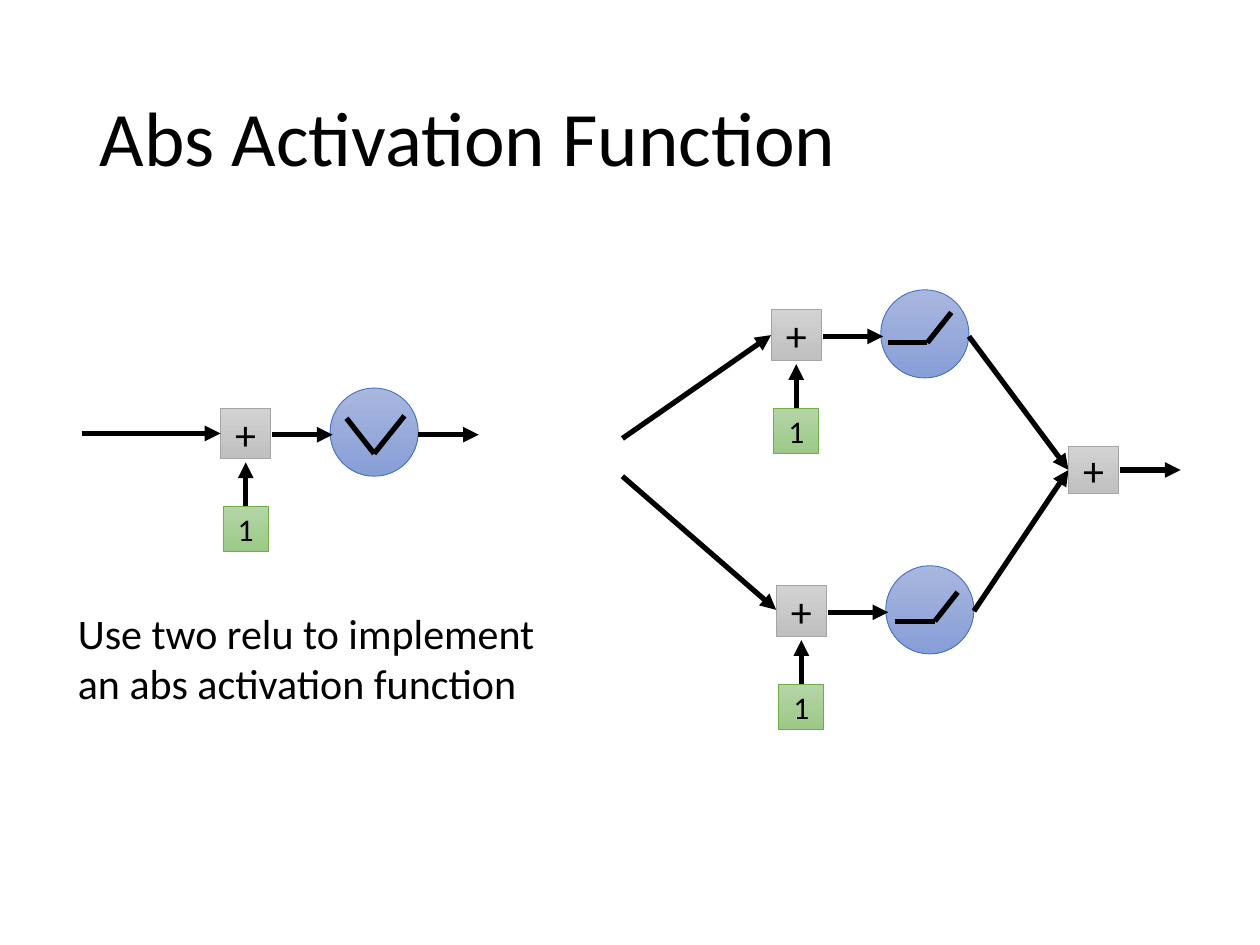
from itertools import pairwise

from lxml import etree
from pptx import Presentation
from pptx.dml.color import RGBColor
from pptx.enum import shapes, text
from pptx.oxml import ns
from pptx.util import Inches, Pt

FONT = "Calibri"
BLACK = RGBColor(0x00, 0x00, 0x00)
# Gradient top, gradient bottom, outline
BLUE = (RGBColor(0xA8, 0xB7, 0xDF), RGBColor(0x88, 0x9E, 0xD7), RGBColor(0x44, 0x72, 0xC4))
GRAY = (RGBColor(0xD2, 0xD2, 0xD2), RGBColor(0xC0, 0xC0, 0xC0), RGBColor(0xA5, 0xA5, 0xA5))
GREEN = (RGBColor(0xB5, 0xD5, 0xA7), RGBColor(0x9C, 0xC9, 0x87), RGBColor(0x70, 0xAD, 0x47))

# Content
TITLE = "Abs Activation Function"
NOTE = "Use two relu to implement an abs activation function"

# Each neuron: corner of its sum box, and the activation curve in its circle
NEURONS = [
    ((1.75, 3.24), [(2.75, 3.32), (2.97, 3.6), (3.21, 3.3)]),
    ((6.12, 2.46), [(7.05, 2.72), (7.36, 2.72), (7.55, 2.48)]),
    ((6.16, 4.65), [(7.1, 4.93), (7.42, 4.93), (7.6, 4.7)]),
]
OUTPUT_SUM = (8.48, 3.54, 0.4, 0.38)
MERGE = (8.48, 3.73)
ARROWS = [
    ((0.65, 3.44), (1.75, 3.44)),  # into and out of the abs neuron
    ((3.32, 3.45), (3.8, 3.45)),
    ((4.94, 3.48), (6.12, 2.66)),  # into the two relu neurons
    ((4.94, 3.78), (6.16, 4.84)),
    ((7.69, 2.67), MERGE),         # relu outputs to the final sum
    ((7.73, 4.85), MERGE),
    ((8.89, 3.73), (9.37, 3.73)),
]

prs = Presentation()
prs.slide_width, prs.slide_height = Inches(10), Inches(7.5)
s = prs.slides.add_slide(prs.slide_layouts[5])


def add_run(p, words, size):
    r = p.add_run()
    r.text = words
    r.font.name, r.font.size, r.font.color.rgb = FONT, Pt(size), BLACK


def add_node(kind, box, colors, label="", size=24):
    sp = s.shapes.add_shape(kind, *map(Inches, box))
    sp.shadow.inherit = False
    top, bottom, outline = colors
    sp.fill.gradient()
    sp.fill.gradient_angle = 270
    for stop, color in zip(sp.fill.gradient_stops, (top, bottom)):
        stop.color.rgb = color
    sp.line.color.rgb, sp.line.width = outline, Pt(0.5)
    if label:
        tf = sp.text_frame
        tf.vertical_anchor = text.MSO_ANCHOR.MIDDLE
        p = tf.paragraphs[0]
        p.alignment = text.PP_ALIGN.CENTER
        add_run(p, label, size)


def add_line(start, end, arrow=True):
    c = s.shapes.add_connector(shapes.MSO_CONNECTOR.STRAIGHT, *map(Inches, (*start, *end)))
    c.line.color.rgb, c.line.width = BLACK, Pt(3)
    if arrow:
        etree.SubElement(c.line._get_or_add_ln(), ns.qn("a:tailEnd"), type="triangle")
    etree.SubElement(c._element.spPr, ns.qn("a:effectLst"))


def add_neuron(x, y, curve):
    add_node(shapes.MSO_SHAPE.OVAL, (x + 0.87, y - 0.16, 0.7, 0.7), BLUE)
    for start, end in pairwise(curve):
        add_line(start, end, arrow=False)
    add_line((x + 0.41, y + 0.21), (x + 0.89, y + 0.21))
    add_node(shapes.MSO_SHAPE.RECTANGLE, (x, y, 0.4, 0.4), GRAY, "+")
    add_line((x + 0.2, y + 0.78), (x + 0.2, y + 0.43))
    add_node(shapes.MSO_SHAPE.RECTANGLE, (x + 0.02, y + 0.78, 0.36, 0.36), GREEN, "1", 18)


# Title
title = s.shapes.title
title.left, title.top, title.width, title.height = map(Inches, (0.69, 0.4, 8.62, 1.45))
title.text_frame.vertical_anchor = text.MSO_ANCHOR.MIDDLE
p = title.text_frame.paragraphs[0]
p.alignment, p.line_spacing = text.PP_ALIGN.LEFT, 0.9
add_run(p, TITLE, 44)

# Network
for (x, y), curve in NEURONS:
    add_neuron(x, y, curve)
for start, end in ARROWS:
    add_line(start, end)
add_node(shapes.MSO_SHAPE.RECTANGLE, OUTPUT_SUM, GRAY, "+")

# Note
note = s.shapes.add_textbox(*map(Inches, (0.52, 4.77, 3.84, 0.91)))
note.text_frame.word_wrap = True
note.text_frame.auto_size = text.MSO_AUTO_SIZE.SHAPE_TO_FIT_TEXT
add_run(note.text_frame.paragraphs[0], NOTE, 24)

prs.save("out.pptx")
